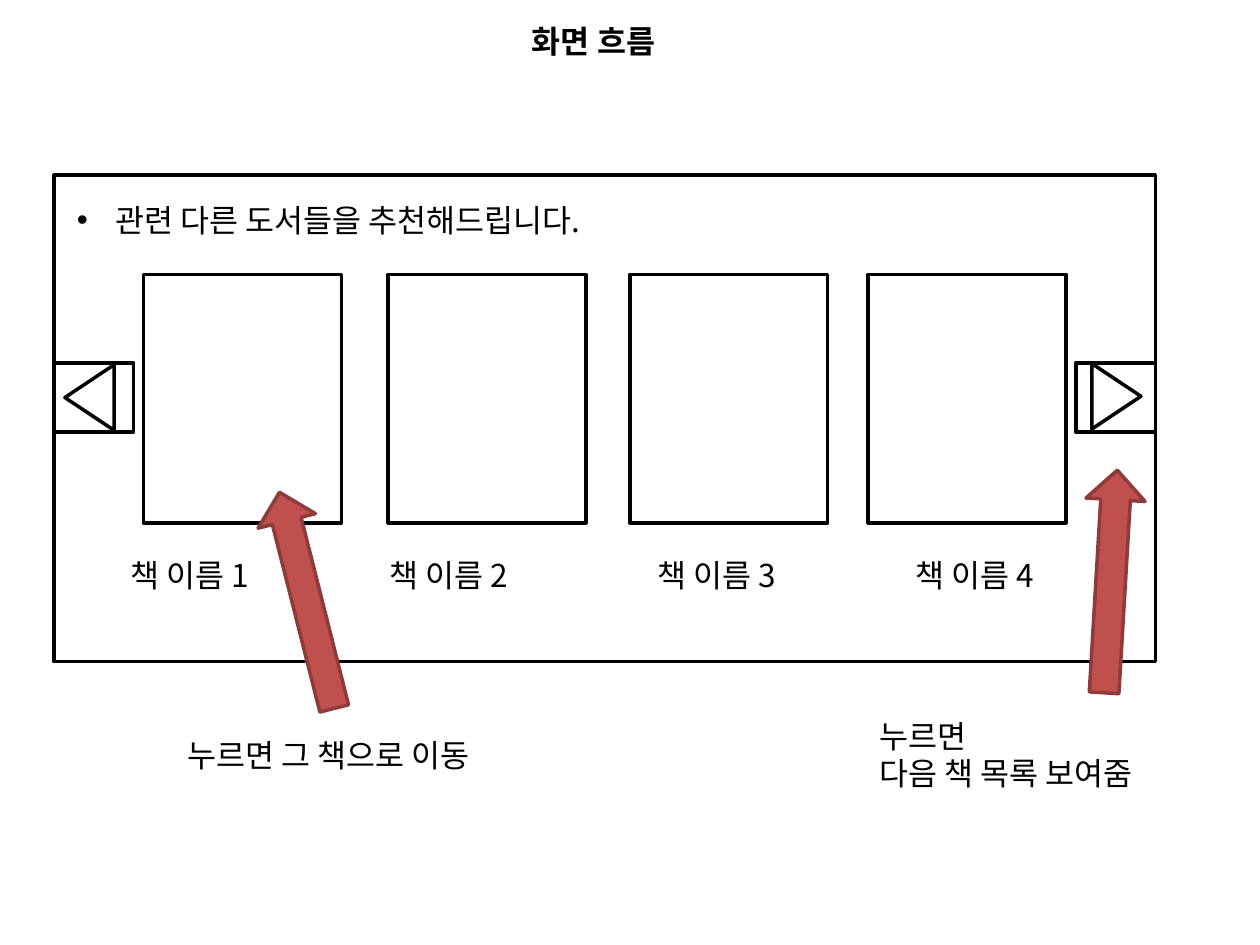
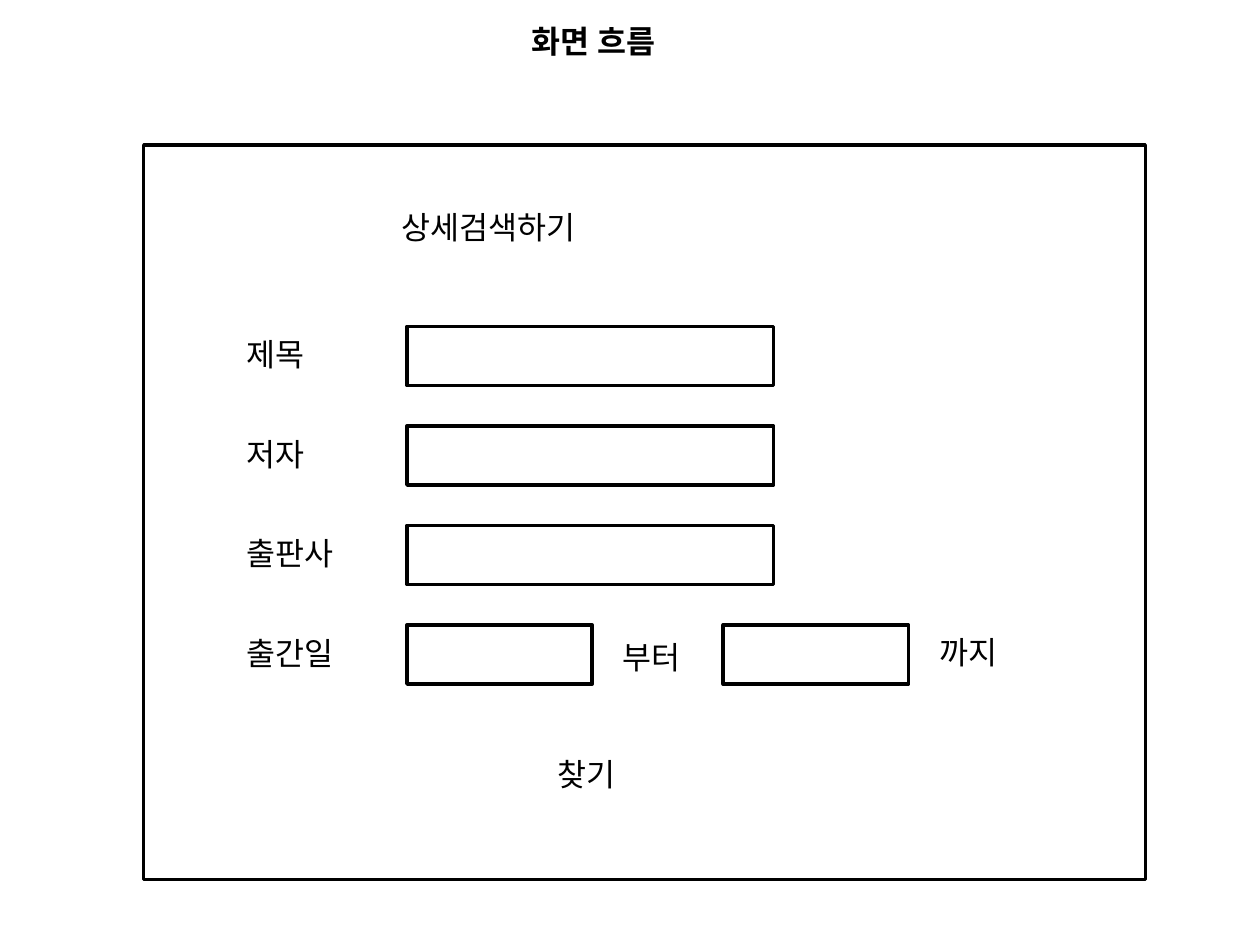
"""Build two wireframe slides: related book suggestions and detailed search."""
from dataclasses import dataclass

from lxml.etree import SubElement
from pptx import Presentation
from pptx.dml.color import RGBColor
from pptx.enum.shapes import MSO_SHAPE as Preset
from pptx.enum.text import MSO_ANCHOR as Anchor, MSO_AUTO_SIZE as AutoSize, PP_ALIGN as Align
from pptx.oxml.ns import qn
from pptx.shapes.autoshape import Shape
from pptx.slide import Slide
from pptx.util import Inches, Pt


@dataclass(frozen=True)
class Theme:
    """Colours, font and sizes shared by the slides."""
    font: str = "Noto Sans CJK KR"
    size: Pt = Pt(18)
    leading: Pt = Pt(21)
    stroke: Pt = Pt(2)
    ink: RGBColor = RGBColor(0x00, 0x00, 0x00)
    paper: RGBColor = RGBColor(0xFF, 0xFF, 0xFF)
    arrow: RGBColor = RGBColor(0xC0, 0x50, 0x4D)
    arrow_edge: RGBColor = RGBColor(0x8E, 0x3B, 0x39)


@dataclass(frozen=True)
class Area:
    """A place on the slide in inches."""
    left: float
    top: float
    width: float
    height: float = 0.4

    def lengths(self) -> tuple[Inches, ...]:
        """Give the place as lengths."""
        return tuple(Inches(side) for side in (self.left, self.top, self.width, self.height))


@dataclass(frozen=True)
class Label:
    """A piece of text and its place."""
    text: str
    area: Area


@dataclass(frozen=True)
class Figure:
    """A preset outline, its place and its turn."""
    area: Area
    preset: Preset = Preset.RECTANGLE
    turn: float = 0
    fill: RGBColor = Theme.paper
    edge: RGBColor = Theme.ink


THEME = Theme()
TITLE = Label("화면 흐름", Area(2.19, 0.13, 5.04))


def write(box: Shape, text: str, bold: bool = False, align: Align = Align.LEFT) -> None:
    """Fill a box with text in the shared style."""
    frame = box.text_frame
    frame.text = text
    frame.word_wrap = True
    frame.auto_size = AutoSize.SHAPE_TO_FIT_TEXT
    frame.vertical_anchor = Anchor.TOP
    for para in frame.paragraphs:
        para.alignment = align
        para.line_spacing = THEME.leading
        para.space_before = Pt(0)
        para.font.size = THEME.size
        para.font.bold = bold
        para.font.color.rgb = THEME.ink
        para.font.name = THEME.font
    for properties in box.element.iter(qn("a:defRPr")):
        SubElement(properties, qn("a:ea"), typeface=THEME.font)


def place(box: Shape, area: Area) -> None:
    """Move a placeholder to an area."""
    box.left, box.top, box.width, box.height = area.lengths()


def add_label(page: Slide, label: Label) -> None:
    """Add a text box."""
    write(page.shapes.add_textbox(*label.area.lengths()), label.text)


def add_figure(page: Slide, figure: Figure) -> Shape:
    """Add an outlined preset shape."""
    shape = page.shapes.add_shape(figure.preset, *figure.area.lengths())
    shape.rotation = figure.turn
    shape.shadow.inherit = False
    shape.fill.solid()
    shape.fill.fore_color.rgb = figure.fill
    shape.line.color.rgb = figure.edge
    shape.line.width = THEME.stroke
    return shape


def add_page(deck: Presentation, layout: int, frame: Area) -> Slide:
    """Add a page with the shared title over a screen frame."""
    page = deck.slides.add_slide(deck.slide_layouts[layout])
    title = page.shapes.title
    place(title, TITLE.area)
    write(title, TITLE.text, bold=True, align=Align.CENTER)
    screen = add_figure(page, Figure(frame))
    title.element.addprevious(screen.element)
    return page


def add_suggestions(deck: Presentation) -> None:
    """Build the page of related books."""
    page = add_page(deck, 1, Area(0.43, 1.39, 8.74, 3.86))
    body = page.placeholders[1]
    place(body, Area(0.51, 1.55, 5.59))
    write(body, "관련 다른 도서들을 추천해드립니다.")
    for properties in body.element.iter(qn("a:pPr")):
        properties.set("marL", str(Inches(0.31)))
        properties.set("indent", str(Inches(-0.31)))

    for cover_left in (1.14, 3.08, 5, 6.89):
        add_figure(page, Figure(Area(cover_left, 2.18, 1.57, 1.97)))
    for number, name_left in enumerate((0.94, 2.99, 5.12, 7.17), start=1):
        add_label(page, Label(f"책 이름 {number}", Area(name_left, 4.37, 1.5)))

    for button_left in (0.43, 8.54):
        add_figure(page, Figure(Area(button_left, 2.88, 0.63, 0.55)))
    for left, top, turn in ((0.45, 2.96, 270), (8.6, 2.95, 90)):
        add_figure(page, Figure(Area(left, top, 0.52, 0.39), Preset.ISOSCELES_TRIANGLE, turn))
    for left, top, turn in ((1.55, 4.53, 75.8), (7.93, 4.38, 93.4)):
        add_figure(page, Figure(Area(left, top, 1.77, 0.47), Preset.LEFT_ARROW, turn,
                                THEME.arrow, THEME.arrow_edge))

    add_label(page, Label("누르면 그 책으로 이동", Area(1.39, 5.8, 2.99)))
    add_label(page, Label("누르면\n다음 책 목록 보여줌", Area(6.88, 5.65, 2.49, 0.71)))


def add_search(deck: Presentation) -> None:
    """Build the page of the detailed search form."""
    page = add_page(deck, 5, Area(1.14, 1.15, 7.95, 5.83))
    add_label(page, Label("상세검색하기", Area(3.09, 1.61, 2.48)))

    first_top, row_step, field_height, date_width = 2.59, 0.79, 0.47, 1.47
    fields = (("제목", 2.91), ("저자", 2.91), ("출판사", 2.91), ("출간일", date_width))
    for row, (name, width) in enumerate(fields):
        top = first_top + row * row_step
        add_label(page, Label(name, Area(1.86, top + 0.03, 1.18)))
        add_figure(page, Figure(Area(3.23, top, width, field_height)))

    date_top = first_top + 3 * row_step
    add_figure(page, Figure(Area(5.74, date_top, date_width, field_height)))
    for text, left, top in (("부터", 4.84, 5.02), ("까지", 7.36, 4.98), ("찾기", 4.33, 5.95)):
        add_label(page, Label(text, Area(left, top, 0.71)))


def main() -> None:
    """Build and save the deck."""
    deck = Presentation()
    deck.slide_width, deck.slide_height = Inches(10), Inches(7.5)
    add_suggestions(deck)
    add_search(deck)
    deck.save("out.pptx")


if __name__ == "__main__":
    main()
